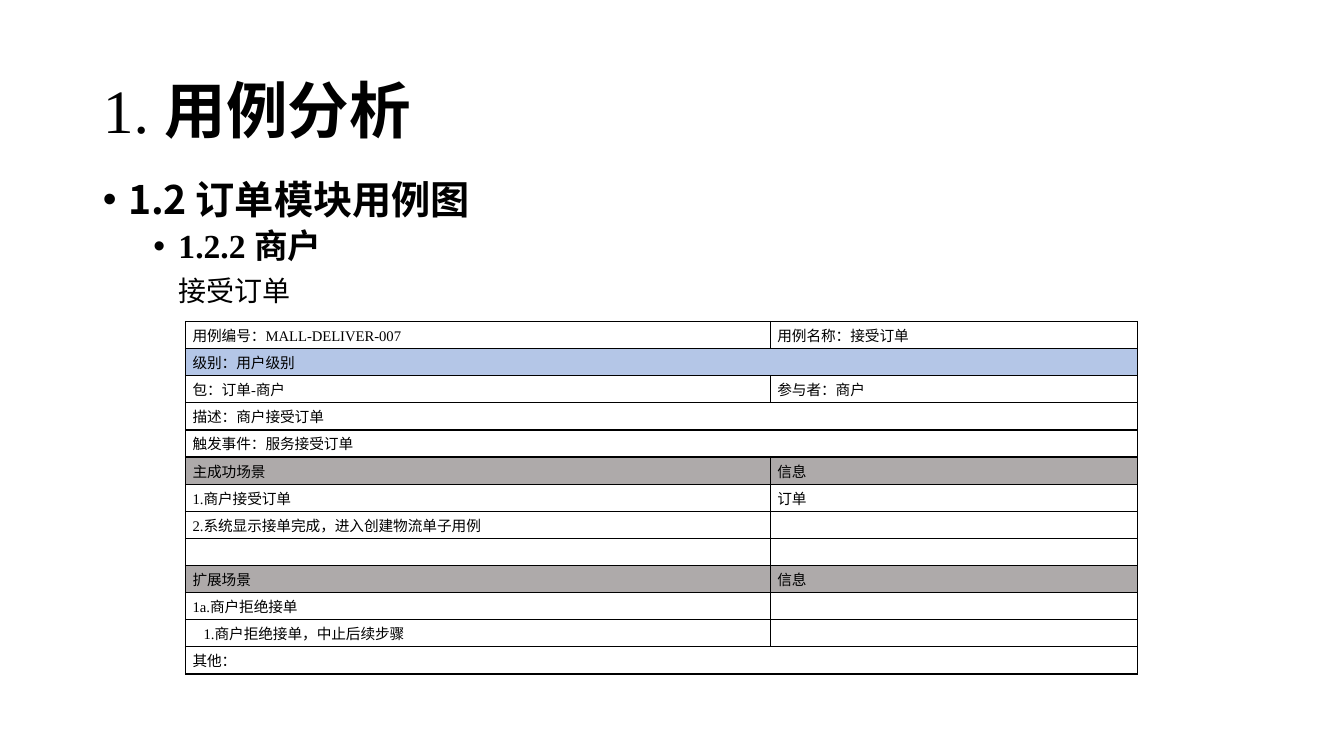
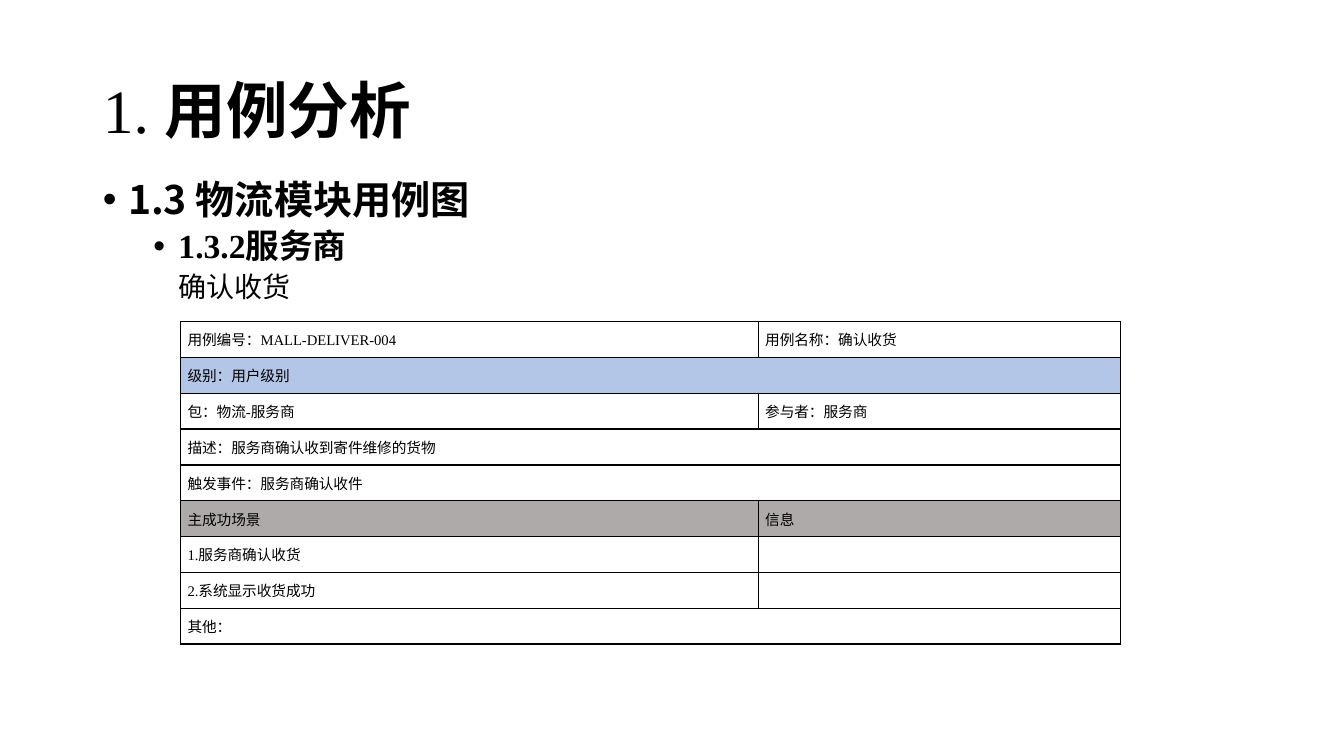
"""Build two use-case analysis slides, each with an outline and a use-case table."""
from dataclasses import dataclass

from pptx import Presentation
from pptx.dml.color import RGBColor
from pptx.enum.text import MSO_ANCHOR as Anchor, MSO_AUTO_SIZE as AutoSize, PP_ALIGN as Align
from pptx.oxml.xmlchemy import OxmlElement
from pptx.util import Inches, Pt


@dataclass(frozen=True)
class Theme:
    ink: RGBColor = RGBColor(0x00, 0x00, 0x00)
    paper: RGBColor = RGBColor(0xFF, 0xFF, 0xFF)
    level_band: RGBColor = RGBColor(0xB4, 0xC6, 0xE7)
    section_band: RGBColor = RGBColor(0xAE, 0xAA, 0xAA)
    serif: str = "Times New Roman"
    sans: str = "Noto Sans CJK SC"
    title: float = 44
    module: float = 28
    actor: float = 24
    use_case: float = 20
    cell: float = 10.5


theme = Theme()


def style_run(run, size, bold=False, face=theme.serif):
    run.font.size, run.font.bold, run.font.name = Pt(size), bold, face
    run.font.color.rgb = theme.ink
    east_asian = OxmlElement("a:ea")
    east_asian.set("typeface", theme.sans)
    run.font._element.append(east_asian)


def add_child(parent, tag, position=None, **attributes):
    child = OxmlElement(tag)
    for key, value in attributes.items():
        child.set(key, str(value))
    parent.insert(len(parent) if position is None else position, child)
    return child


pages = [
    {
        "outline": ["1.2 订单模块用例图", "1.2.2 商户", "接受订单"],
        "use_case_gap": 8,
        "left": 1.84, "height": 3.5, "columns": (5.8, 3.64),
        "rows": [
            ("用例编号：MALL-DELIVER-007", "用例名称：接受订单"),
            ("级别：用户级别",),
            ("包：订单-商户", "参与者：商户"),
            ("描述：商户接受订单",),
            ("触发事件：服务接受订单",),
            ("主成功场景", "信息"),
            ("1.商户接受订单", "订单"),
            ("2.系统显示接单完成，进入创建物流单子用例", ""),
            ("", ""),
            ("扩展场景", "信息"),
            ("1a.商户拒绝接单", ""),
            ("1.商户拒绝接单，中止后续步骤", ""),
            ("其他：",),
        ],
    },
    {
        "outline": ["1.3 物流模块用例图", "1.3.2服务商", "确认收货"],
        "use_case_gap": 5,
        "left": 1.79, "height": 3.2, "columns": (5.73, 3.59),
        "rows": [
            ("用例编号：MALL-DELIVER-004", "用例名称：确认收货"),
            ("级别：用户级别",),
            ("包：物流-服务商", "参与者：服务商"),
            ("描述：服务商确认收到寄件维修的货物",),
            ("触发事件：服务商确认收件",),
            ("主成功场景", "信息"),
            ("1.服务商确认收货", ""),
            ("2.系统显示收货成功", ""),
            ("其他：",),
        ],
    },
]
bands = {
    "级别：用户级别": theme.level_band,
    "主成功场景": theme.section_band,
    "扩展场景": theme.section_band,
}
substeps = {"1.商户拒绝接单，中止后续步骤": Inches(0.11)}

prs = Presentation()
prs.slide_width, prs.slide_height = Inches(13.33), Inches(7.5)
layout = prs.slide_layouts[1]
for placeholder, top, height in zip(layout.placeholders, (0.4, 1.74), (1.45, 4.76)):
    placeholder.left, placeholder.top = Inches(0.92), Inches(top)
    placeholder.width, placeholder.height = Inches(11.5), Inches(height)

for page in pages:
    slide = prs.slides.add_slide(layout)

    heading = slide.shapes.title.text_frame
    heading.vertical_anchor, heading.auto_size = Anchor.MIDDLE, AutoSize.NONE
    heading_line = heading.paragraphs[0]
    heading_line.alignment, heading_line.line_spacing = Align.LEFT, 0.9
    for words, bold in (("1. ", False), ("用例分析", True)):
        part = heading_line.add_run()
        part.text = words
        style_run(part, theme.title, bold)

    outline = slide.placeholders[1].text_frame
    outline.text = "\n".join(page["outline"])
    outline.auto_size = AutoSize.NONE
    outline_styles = [
        (0, 0.25, -0.25, 0, theme.module, True, theme.sans),
        (1, 0.75, -0.25, 5, theme.actor, True, theme.serif),
        (1, 0.75, 0, page["use_case_gap"], theme.use_case, False, theme.serif),
    ]
    for line, (level, margin, indent, gap, size, bold, face) in zip(outline.paragraphs, outline_styles):
        line.level, line.line_spacing, line.space_before = level, 0.9, Pt(gap)
        props = line._p.get_or_add_pPr()
        props.set("marL", str(Inches(margin)))
        props.set("indent", str(Inches(indent)))
        if indent:
            add_child(props, "a:buFont", typeface="Arial")
            add_child(props, "a:buChar", char="•")
        else:
            add_child(props, "a:buNone")
        style_run(line.runs[0], size, bold, face)

    rows = page["rows"]
    use_case = slide.shapes.add_table(
        len(rows), 2, Inches(page["left"]), Inches(3.19),
        Inches(sum(page["columns"])), Inches(page["height"])).table
    use_case.first_row = use_case.horz_banding = False
    for column, width in zip(use_case.columns, page["columns"]):
        column.width = Inches(width)
    for row_index, entries in enumerate(rows):
        if len(entries) == 1:
            use_case.cell(row_index, 0).merge(use_case.cell(row_index, 1))
        for column_index in range(2):
            cell = use_case.cell(row_index, column_index)
            entry = entries[column_index] if column_index < len(entries) else ""
            cell.margin_left = cell.margin_right = Inches(0.07)
            cell.margin_top = cell.margin_bottom = 0
            cell.vertical_anchor = Anchor.MIDDLE
            cell.fill.solid()
            cell.fill.fore_color.rgb = bands.get(entries[0], theme.paper)
            for position, side in enumerate("LRTB"):
                border = add_child(cell._tc.tcPr, f"a:ln{side}", position, w=Pt(1))
                add_child(add_child(border, "a:solidFill"), "a:srgbClr", val=theme.ink)
            cell.text_frame.text = entry
            line = cell.text_frame.paragraphs[0]
            line.alignment = Align.JUSTIFY
            if entry in substeps:
                line._p.get_or_add_pPr().set("marL", str(substeps[entry]))
            for run in line.runs:
                style_run(run, theme.cell)
            add_child(line._p, "a:endParaRPr", sz=int(theme.cell * 100))

prs.save("out.pptx")
